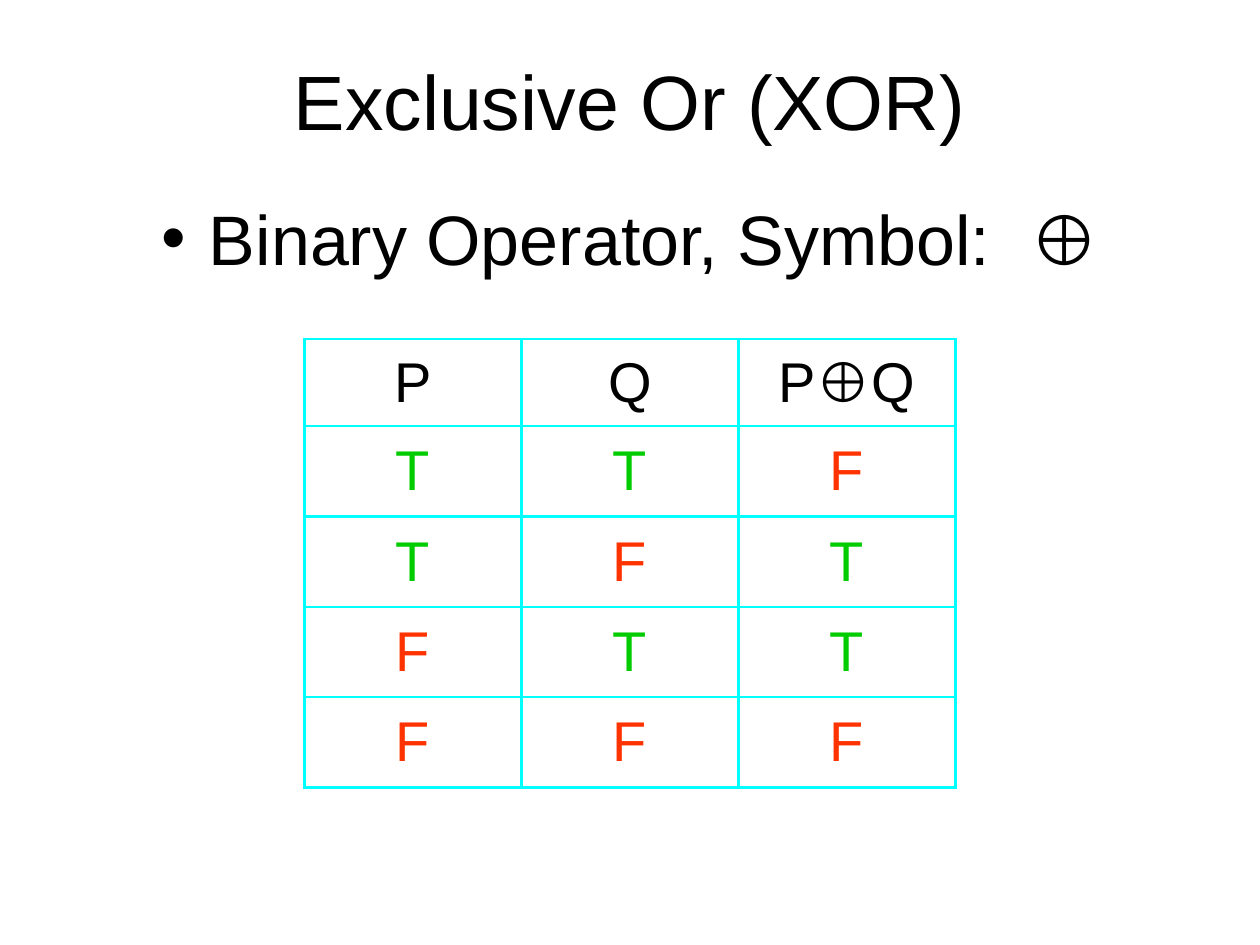
from lxml import etree
from pptx import Presentation
from pptx import util as u
from pptx.dml.color import RGBColor
from pptx.enum import text
from pptx.oxml.ns import qn

COLORS = {"ink": "000000", "T": "00CC00", "F": "FF3300", "grid": "00FFFF"}
FONT = "Arial"
XOR = "⊕"
TRUTH = ["TTF", "TFT", "FTT", "FFF"]
COLUMNS, ROWS = 120, 90

prs = Presentation()
prs.slide_width, prs.slide_height = u.Inches(10), u.Inches(7.5)


def across(columns):
    return u.Emu(int(prs.slide_width * columns / COLUMNS))


def down(rows):
    return u.Emu(int(prs.slide_height * rows / ROWS))


def place(box):
    left, top, width, height = box
    return across(left), down(top), across(width), down(height)


def write(paragraph, words, size, color="ink"):
    paragraph.alignment = text.PP_ALIGN.CENTER
    paragraph.font.name = FONT
    paragraph.font.size = u.Pt(size)
    paragraph.font.color.rgb = RGBColor.from_string(COLORS[color])
    before, symbol, after = words.partition(XOR)
    for part in filter(None, (before, symbol, after)):
        run = paragraph.add_run()
        run.text = part
        if part == XOR:
            run.font.bold = True


def add_frame(slide, box, anchor):
    frame = slide.shapes.add_textbox(*place(box)).text_frame
    frame.word_wrap = True
    frame.vertical_anchor = anchor
    return frame


def add_title(slide, box):
    heading = add_frame(slide, box, text.MSO_ANCHOR.MIDDLE)
    write(heading.paragraphs[0], "Exclusive Or (XOR)", 44)


def add_definition(slide, box):
    definition = add_frame(slide, box, text.MSO_ANCHOR.TOP).paragraphs[0]
    props = definition._p.get_or_add_pPr()
    hanging = u.Inches(0.38)
    props.set("marL", str(hanging))
    props.set("indent", str(-hanging))
    etree.SubElement(props, qn("a:buFont"), typeface=FONT)
    etree.SubElement(props, qn("a:buChar"), char="•")
    write(definition, f"Binary Operator, Symbol:  {XOR}", 40)


def outline(cell):
    props = cell._tc.get_or_add_tcPr()
    for index, side in enumerate(("lnL", "lnR", "lnT", "lnB")):
        line = etree.Element(qn(f"a:{side}"), w=str(u.Pt(1.47)))
        fill = etree.SubElement(line, qn("a:solidFill"))
        etree.SubElement(fill, qn("a:srgbClr"), val=COLORS["grid"])
        props.insert(index, line)


def add_truth_table(slide, box, header_rows):
    entries = [["P", "Q", f"P{XOR}Q"], *TRUTH]
    width, height = box[2:]
    truth = slide.shapes.add_table(len(entries), 3, *place(box)).table
    truth.first_row = truth.horz_banding = False
    for column in truth.columns:
        column.width = across(width / 3)
    for row in truth.rows:
        row.height = down((height - header_rows) / len(TRUTH))
    truth.rows[0].height = down(header_rows)
    for r, values in enumerate(entries):
        for c, value in enumerate(values):
            cell = truth.cell(r, c)
            cell.vertical_anchor = text.MSO_ANCHOR.MIDDLE
            cell.fill.background()
            outline(cell)
            write(cell.text_frame.paragraphs[0], value, 32,
                  value if value in COLORS else "ink")


def main():
    slide = prs.slides.add_slide(prs.slide_layouts[6])
    add_title(slide, (9, 5, 102, 9))
    add_definition(slide, (7, 18, 106, 11))
    add_truth_table(slide, (29, 32.3, 62, 42.7), 8.3)
    prs.save("out.pptx")


if __name__ == "__main__":
    main()
